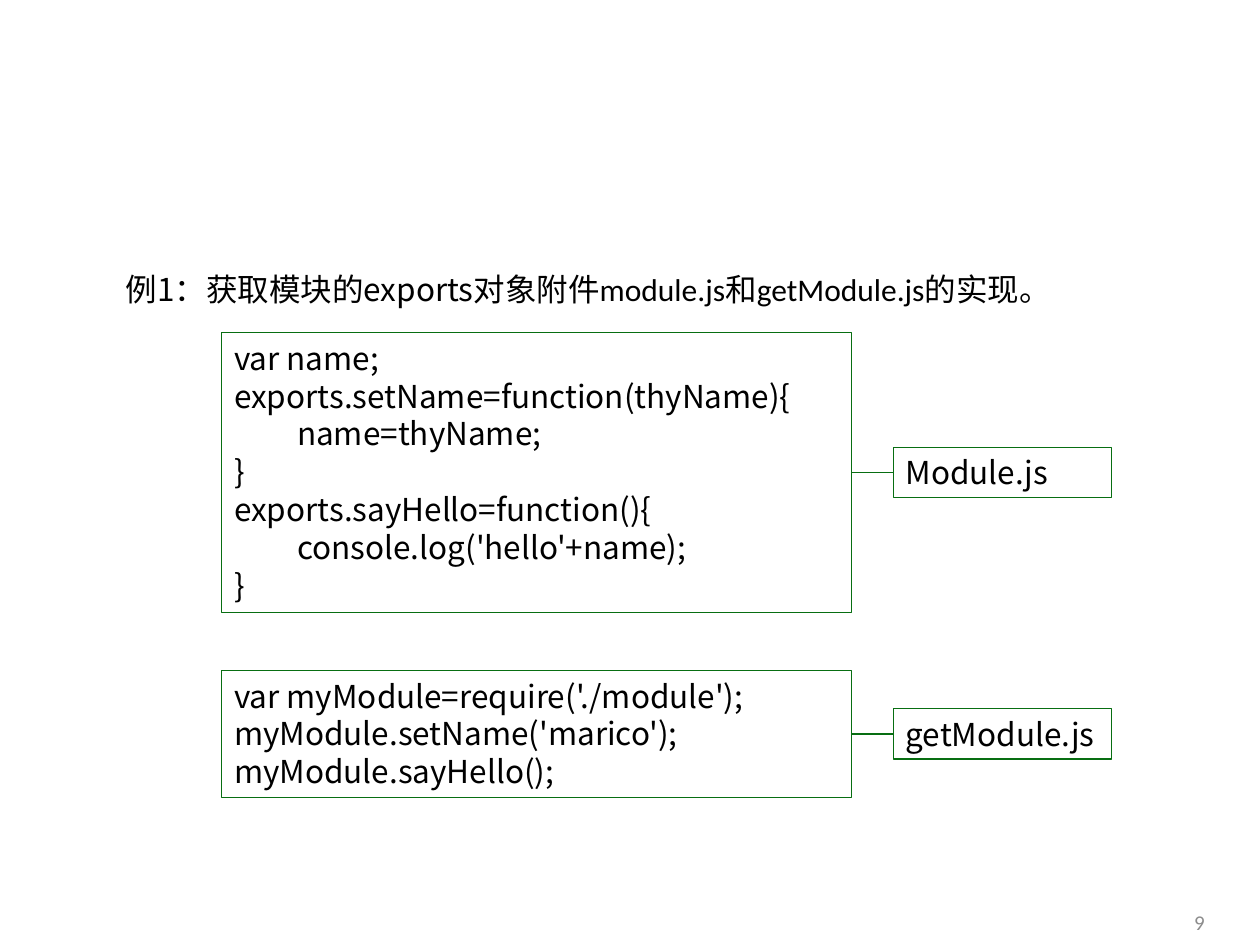
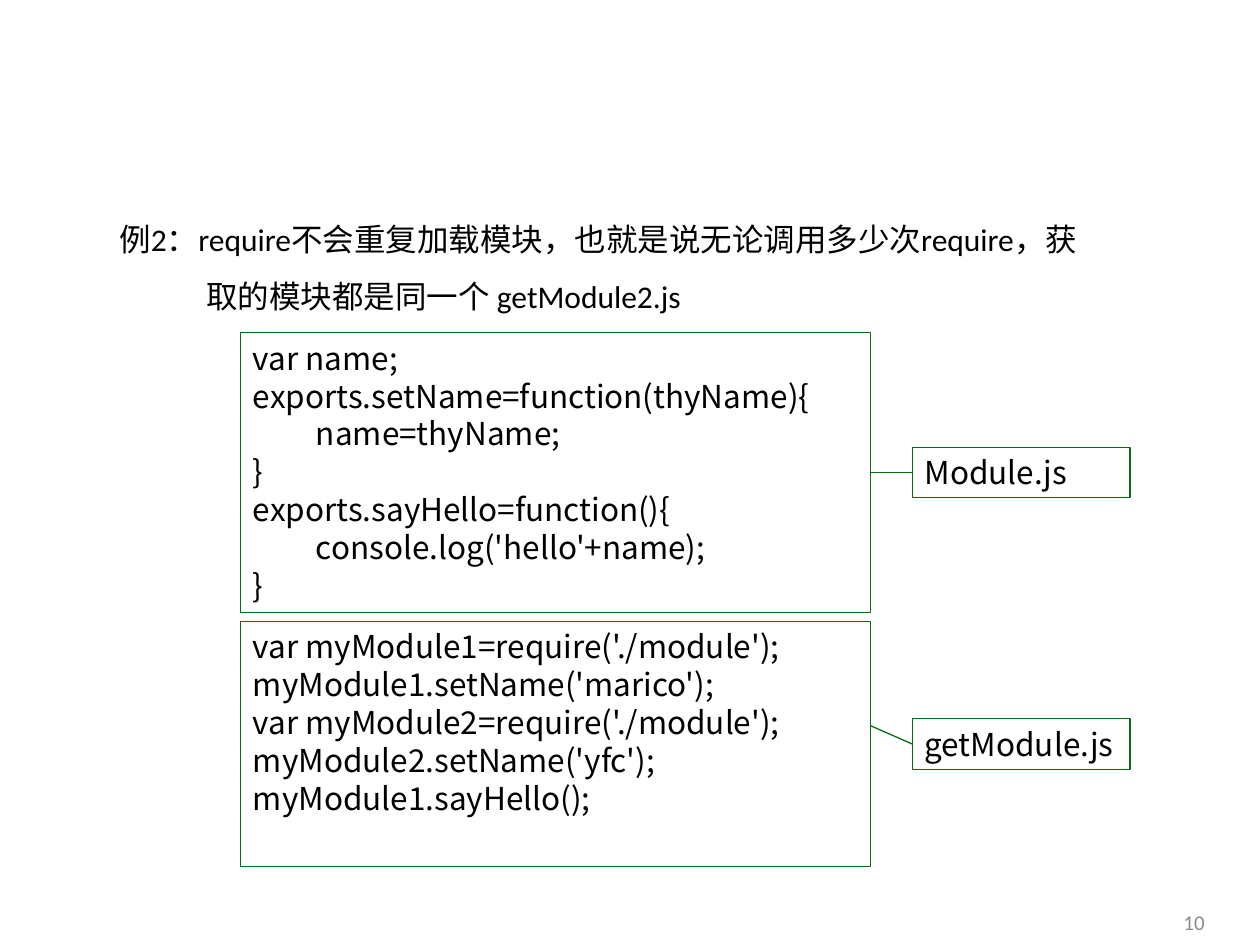
from dataclasses import dataclass
from typing import Any, Optional

import pptx
import pptx.dml.color
import pptx.enum.shapes
import pptx.enum.text
import pptx.oxml.ns
import pptx.util
from lxml import etree

Pt = pptx.util.Pt
GREEN, BLACK, GRAY = "086E12", "000000", "8C8C8C"
SANS, CJK = "Calibri", "Noto Sans CJK SC"
BOX_W, LINK_W, LABEL_W, LABEL_H = 360, 23.76, 124.56, 28.8
TOP = pptx.enum.text.MSO_ANCHOR.TOP
MIDDLE = pptx.enum.text.MSO_ANCHOR.MIDDLE
LEFT = pptx.enum.text.PP_ALIGN.LEFT
RIGHT = pptx.enum.text.PP_ALIGN.RIGHT
MODULE_CODE = (
    "var name;",
    "exports.setName=function(thyName){",
    "\tname=thyName;",
    "}",
    "exports.sayHello=function(){",
    "\tconsole.log('hello'+name);",
    "}",
)


@dataclass(frozen=True)
class Span:
    text: str
    font: str = CJK
    size: float = 18
    color: str = BLACK


@dataclass(frozen=True)
class Listing:
    top: float
    height: float
    code: tuple[str, ...]
    label: str
    link_y: Optional[float] = None


@dataclass(frozen=True)
class Heading:
    left: float
    top: float
    width: float
    height: float
    spans: tuple[Span, ...]
    hang: float = 0


@dataclass(frozen=True)
class Example:
    number: int
    heading: Heading
    left: float
    listings: tuple[Listing, ...]


MODULE = Listing(190.08, 159.84, MODULE_CODE, "Module.js")
EXAMPLES = (
    Example(
        9,
        Heading(64.8, 139.68, 545.04, 40.32, (
            Span("例1：获取模块的exports对象"),
            Span("附件module.js和getModule.js的实现。", SANS),
        )),
        126.72,
        (MODULE, Listing(383.04, 72.72, (
            "var myModule=require('./module');",
            "myModule.setName('marico');",
            "myModule.sayHello();",
        ), "getModule.js")),
    ),
    Example(
        10,
        Heading(61.2, 111.6, 570.96, 69.12, (
            Span("例2：require不会重复加载模块，也就是说无论调用多少次require，"
                 "获取的模块都是同一个 getModule2.js", SANS),
        ), 49.68),
        137.52,
        (MODULE, Listing(354.96, 140.4, (
            "var myModule1=require('./module');",
            "myModule1.setName('marico');",
            "var myModule2=require('./module');",
            "myModule2.setName('yfc');",
            "myModule1.sayHello();",
        ), "getModule.js", 414.72)),
    ),
)


def rgb(value: str) -> pptx.dml.color.RGBColor:
    return pptx.dml.color.RGBColor.from_string(value)


def apply(target: Any, values: dict[str, Any]) -> None:
    for name, value in values.items():
        setattr(target, name, value)


def add_span(p: Any, span: Span) -> None:
    r = p.add_run()
    r.text = span.text
    apply(r.font, {"name": span.font, "size": Pt(span.size)})
    r.font.color.rgb = rgb(span.color)
    ea = etree.SubElement(r.font._element, pptx.oxml.ns.qn("a:ea"))
    ea.set("typeface", CJK)


def write(tf: Any, paragraphs: list[tuple[Span, ...]], anchor: Any = TOP,
          align: Any = LEFT, spacing: float = 1, hang: float = 0) -> None:
    apply(tf, {"word_wrap": True, "vertical_anchor": anchor})
    for i, spans in enumerate(paragraphs):
        p = tf.add_paragraph() if i else tf.paragraphs[0]
        apply(p, {"alignment": align, "line_spacing": spacing})
        if hang:
            apply(p._p.get_or_add_pPr(), {"marL": Pt(hang), "indent": Pt(-hang)})
            p._p.pPr.set("marL", str(Pt(hang)))
            p._p.pPr.set("indent", str(Pt(-hang)))
        for span in spans:
            add_span(p, span)


def outline(line: Any) -> None:
    line.color.rgb = rgb(GREEN)
    line.width = Pt(0.75)


def add_box(s: Any, left: float, top: float, width: float, height: float,
            lines: tuple[str, ...]) -> None:
    sp = s.shapes.add_shape(pptx.enum.shapes.MSO_SHAPE.RECTANGLE,
                            Pt(left), Pt(top), Pt(width), Pt(height))
    sp.shadow.inherit = False
    sp.fill.background()
    outline(sp.line)
    write(sp.text_frame, [(Span(line),) for line in lines])


def add_link(s: Any, x1: float, y1: float, x2: float, y2: float) -> None:
    cn = s.shapes.add_connector(pptx.enum.shapes.MSO_CONNECTOR.STRAIGHT,
                                Pt(x1), Pt(y1), Pt(x2), Pt(y2))
    outline(cn.line)
    etree.SubElement(cn._element.spPr, pptx.oxml.ns.qn("a:effectLst"))


def add_listing(s: Any, left: float, item: Listing) -> None:
    middle = item.top + item.height / 2
    right = left + BOX_W
    label_left = right + LINK_W
    add_box(s, left, item.top, BOX_W, item.height, item.code)
    add_box(s, label_left, middle - LABEL_H / 2, LABEL_W, LABEL_H, (item.label,))
    add_link(s, right, item.link_y or middle, label_left, middle)


def add_heading(s: Any, h: Heading) -> None:
    sp = s.shapes.add_textbox(Pt(h.left), Pt(h.top), Pt(h.width), Pt(h.height))
    write(sp.text_frame, [h.spans], spacing=1.5, hang=h.hang)


def add_number(s: Any, number: int) -> None:
    sp = s.shapes.add_textbox(Pt(527.76), Pt(512.64), Pt(167.76), Pt(28.8))
    write(sp.text_frame, [(Span(str(number), SANS, 12, GRAY),)], MIDDLE, RIGHT)


def add_example(prs: Any, example: Example) -> None:
    s = prs.slides.add_slide(prs.slide_layouts[6])
    add_number(s, example.number)
    add_heading(s, example.heading)
    for item in example.listings:
        add_listing(s, example.left, item)


def main() -> None:
    prs = pptx.Presentation()
    apply(prs, {"slide_width": Pt(720), "slide_height": Pt(540)})
    for example in EXAMPLES:
        add_example(prs, example)
    prs.save("out.pptx")


if __name__ == "__main__":
    main()
